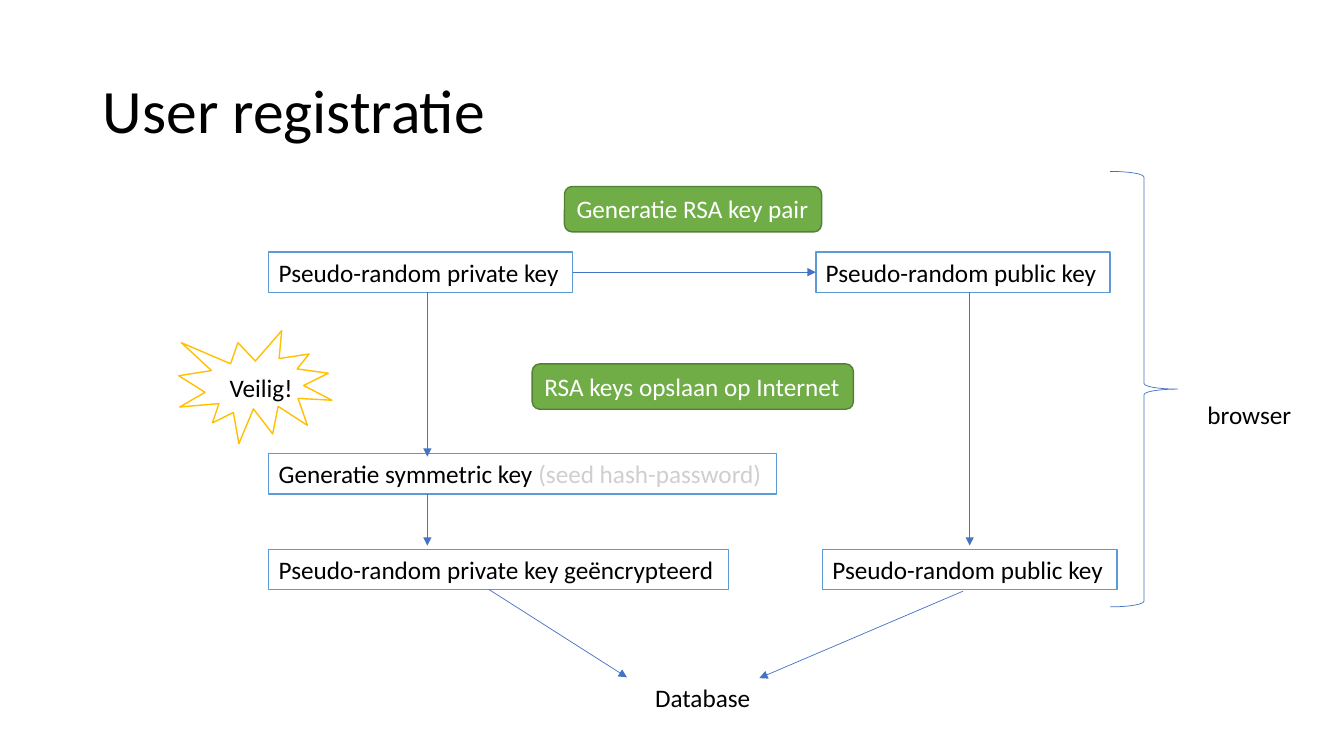
import pptx
import pptx.dml.color
import pptx.enum.shapes
import pptx.enum.text
import pptx.oxml.ns
import pptx.util
import lxml.etree

WIDTH = pptx.util.Inches(13.33)
HEIGHT = pptx.util.Inches(7.5)
FONT = "Calibri"
COLORS = {
    "black": "000000",
    "white": "FFFFFF",
    "muted": "D0CECE",
    "green": "70AD47",
    "green_edge": "538035",
    "box_edge": "5B9BD5",
    "arrow": "4472C4",
    "gold": "FFC000",
}
SHAPES = pptx.enum.shapes.MSO_SHAPE

# Rows and columns, in percent of the slide's height and width
KEY_ROW, SYMMETRIC_ROW, STORED_ROW = 33.33, 60, 72.67
BOX_HEIGHT, STEP_HEIGHT = 5.33, 6
LEFT_EDGE, PRIVATE_AXIS, PUBLIC_AXIS = 20, 31.8, 72.15
PUBLIC_WIDTH = 21.9


def across(percent):
    return round(WIDTH * percent / 100)


def down(percent):
    return round(HEIGHT * percent / 100)


def place(left, top, width, height):
    return across(left), down(top), across(width), down(height)


def color(name):
    return pptx.dml.color.RGBColor.from_string(COLORS[name])


def add_run(paragraph, text, color_name, size=18):
    run = paragraph.add_run()
    run.text = text
    run.font.name = FONT
    run.font.size = pptx.util.Pt(size)
    run.font.color.rgb = color(color_name)


def write(shape, runs):
    frame = shape.text_frame
    frame.word_wrap = False
    frame.auto_size = pptx.enum.text.MSO_AUTO_SIZE.SHAPE_TO_FIT_TEXT
    frame.vertical_anchor = pptx.enum.text.MSO_ANCHOR.TOP
    paragraph = frame.paragraphs[0]
    paragraph.alignment = pptx.enum.text.PP_ALIGN.LEFT
    for text, color_name in runs:
        add_run(paragraph, text, color_name)


def add_outline(slide, kind, area, line, fill=None, weight=1):
    shape = slide.shapes.add_shape(kind, *place(*area))
    shape.shadow.inherit = False
    if fill:
        shape.fill.solid()
        shape.fill.fore_color.rgb = color(fill)
    else:
        shape.fill.background()
    shape.line.color.rgb = color(line)
    shape.line.width = pptx.util.Pt(weight)
    return shape


def add_step(slide, left, top, width, text):
    area = (left, top, width, STEP_HEIGHT)
    shape = add_outline(slide, SHAPES.ROUNDED_RECTANGLE, area, "green_edge", "green")
    write(shape, [(text, "white")])


def add_key_box(slide, left, top, width, *runs):
    area = (left, top, width, BOX_HEIGHT)
    shape = add_outline(slide, SHAPES.RECTANGLE, area, "box_edge", "white")
    write(shape, runs)


def add_label(slide, left, top, width, text):
    label = slide.shapes.add_textbox(*place(left, top, width, BOX_HEIGHT))
    write(label, [(text, "black")])


def add_arrow(slide, start_x, start_y, end_x, end_y):
    arrow = slide.shapes.add_connector(
        pptx.enum.shapes.MSO_CONNECTOR.STRAIGHT,
        across(start_x), down(start_y), across(end_x), down(end_y))
    arrow.line.color.rgb = color("arrow")
    arrow.line.width = pptx.util.Pt(0.5)
    qualified = pptx.oxml.ns.qn
    lxml.etree.SubElement(arrow.line._get_or_add_ln(), qualified("a:tailEnd"), type="triangle")
    lxml.etree.SubElement(arrow._element.spPr, qualified("a:effectLst"))


def add_title(slide, text):
    title = slide.shapes.title
    title.left, title.top, title.width, title.height = place(6.9, 5.33, 86.25, 19.33)
    title.text_frame.vertical_anchor = pptx.enum.text.MSO_ANCHOR.MIDDLE
    paragraph = title.text_frame.paragraphs[0]
    paragraph.alignment = pptx.enum.text.PP_ALIGN.LEFT
    paragraph.line_spacing = 0.9
    add_run(paragraph, text, "black", 44)


def main():
    presentation = pptx.Presentation()
    presentation.slide_width, presentation.slide_height = WIDTH, HEIGHT
    slide = presentation.slides.add_slide(presentation.slide_layouts[5])
    add_title(slide, "User registratie")

    # Steps
    add_step(slide, 42, 24.67, 19.13, "Generatie RSA key pair")
    add_step(slide, 39.6, 48.13, 23.9, "RSA keys opslaan op Internet")

    # Keys
    add_key_box(slide, LEFT_EDGE, KEY_ROW, 22.6, ("Pseudo-random private key", "black"))
    add_key_box(slide, LEFT_EDGE, SYMMETRIC_ROW, 37.8,
                ("Generatie symmetric key ", "black"), ("(seed hash-password)", "muted"))
    add_key_box(slide, LEFT_EDGE, STORED_ROW, 34.2,
                ("Pseudo-random private key geëncrypteerd", "black"))
    for left, top in ((60.7, KEY_ROW), (61.2, STORED_ROW)):
        add_key_box(slide, left, top, PUBLIC_WIDTH, ("Pseudo-random public key", "black"))

    # Flow between the keys and into storage
    key_bottom = KEY_ROW + BOX_HEIGHT
    stored_bottom = STORED_ROW + BOX_HEIGHT
    arrow_end = STORED_ROW - 0.5
    add_arrow(slide, 42.6, 36, 60.7, 36)
    add_arrow(slide, PRIVATE_AXIS, key_bottom, PRIVATE_AXIS, SYMMETRIC_ROW + 0.4)
    add_arrow(slide, PRIVATE_AXIS, SYMMETRIC_ROW + BOX_HEIGHT, PRIVATE_AXIS, arrow_end)
    add_arrow(slide, PUBLIC_AXIS, key_bottom, PUBLIC_AXIS, arrow_end)
    add_arrow(slide, 36.4, stored_bottom, 46.65, 89.6)
    add_arrow(slide, 71.65, stored_bottom + 0.2, 56.5, 89.7)
    add_label(slide, 48, 89.6, 9.2, "Database")

    # Safety burst
    add_outline(slide, SHAPES.EXPLOSION1, (13.3, 43.75, 11.4, 14.95), "gold")
    add_label(slide, 16.35, 48.55, 6.22, "Veilig!")

    # Browser scope
    add_outline(slide, SHAPES.RIGHT_BRACE, (82.6, 22.67, 5.03, 57.6), "arrow", weight=0.5)
    add_label(slide, 89.1, 52.13, 7.8, "browser")

    presentation.save("out.pptx")


if __name__ == "__main__":
    main()
